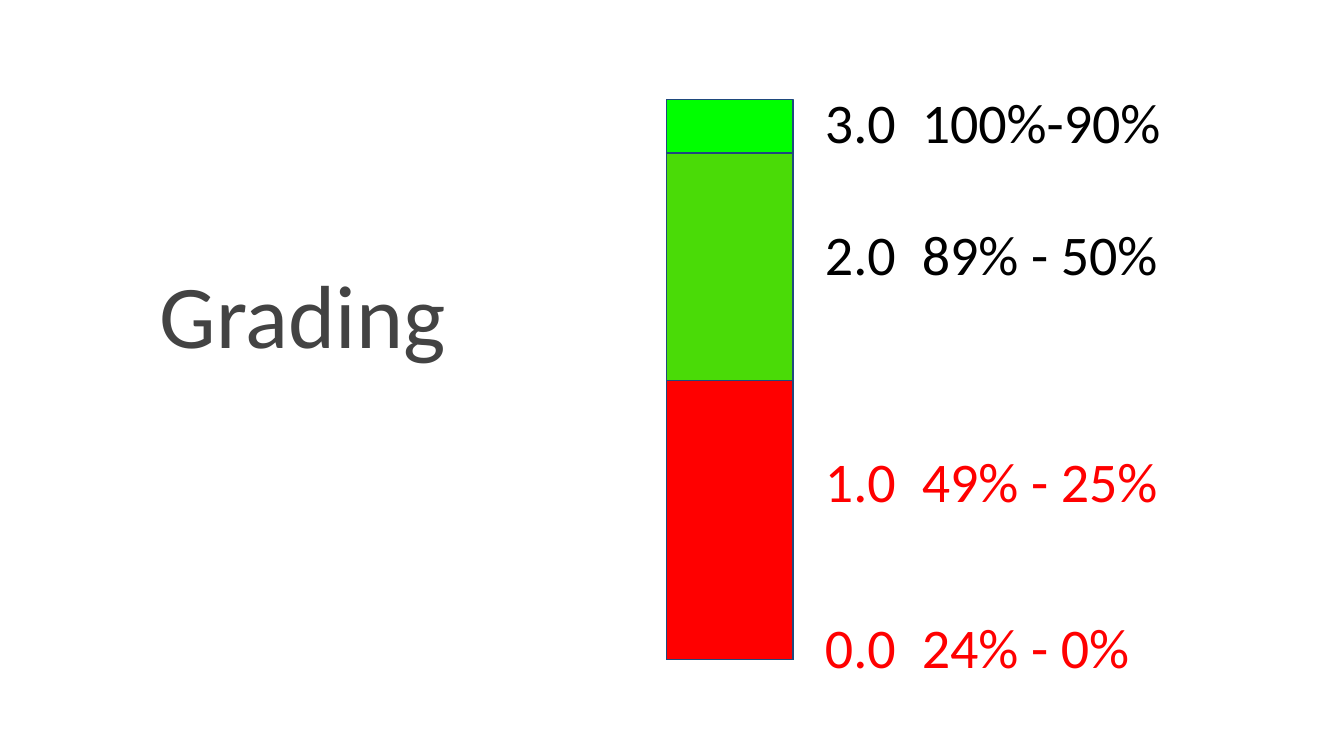
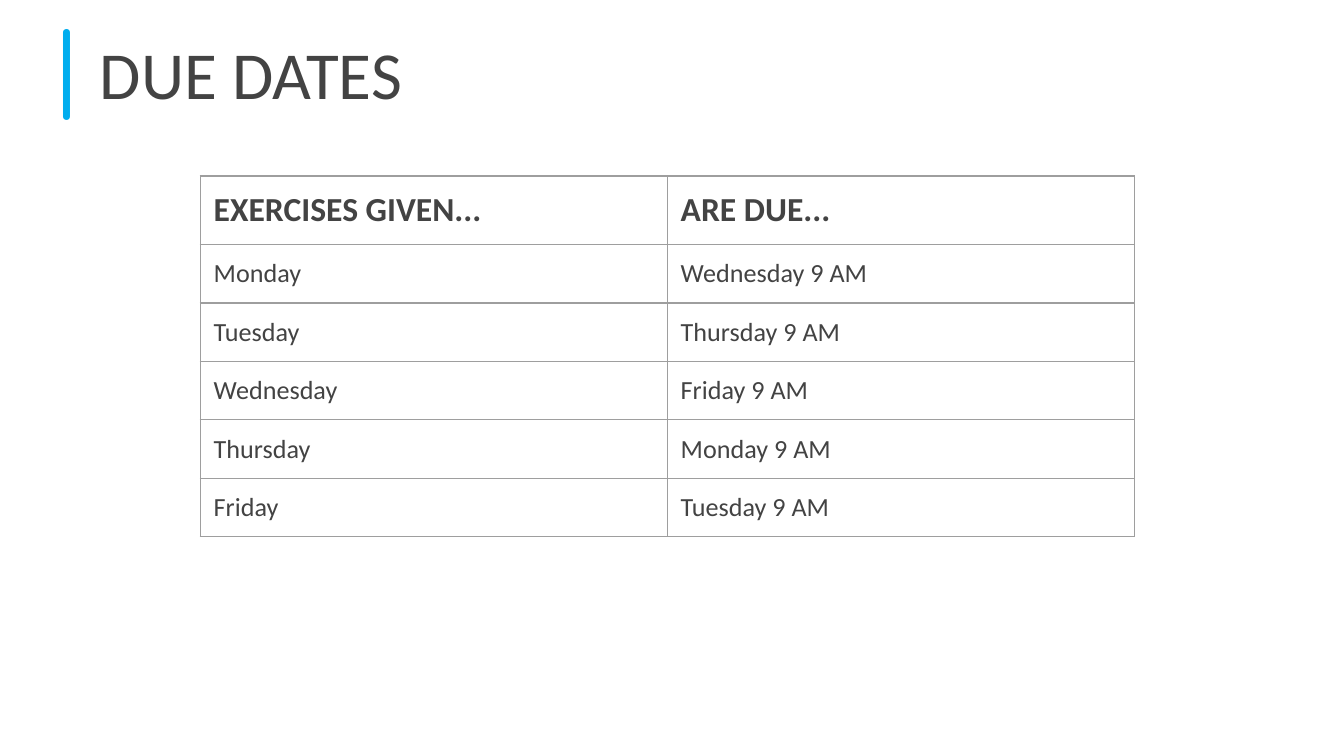
from typing import NamedTuple

from lxml.etree import SubElement
from pptx import Presentation
from pptx.dml.color import RGBColor
from pptx.enum.shapes import MSO_SHAPE
from pptx.enum.text import MSO_ANCHOR as Anchor
from pptx.oxml import parse_xml
from pptx.oxml.ns import nsdecls, qn
from pptx.util import Emu, Inches, Pt

COLORS = {
    "ink": "434343",
    "black": "000000",
    "accent": "00ADEE",
    "outline": "1F497D",
    "border": "9E9E9E",
    "top": "00FF00",
    "pass": "4ADB07",
    "fail": "FF0000",
}
BODY_FONT = "Calibri"
ACCENT_FONT = "Comfortaa"
INSET = Inches(0.1)
SLIDE_WIDTH = Inches(10)
SLIDE_HEIGHT = Emu(SLIDE_WIDTH * 9 // 16)
COLUMNS, ROWS = 100, 56.25

# Label, label color, label row, band color, band row; rows count from the scale's top.
GRADES = [
    ("3.0\t100%-90%", "black", -1.9, "top", 0),
    ("2.0\t89% - 50%", "black", 7.9, "pass", 4),
    ("1.0\t49% - 25%", "fail", 24.8, "fail", 20.9),
    ("0.0\t24% - 0%", "fail", 37.2, None, None),
]
DUE_DATES = [
    ("EXERCISES GIVEN...", "ARE DUE..."),
    ("Monday", "Wednesday 9 AM"),
    ("Tuesday", "Thursday 9 AM"),
    ("Wednesday", "Friday 9 AM"),
    ("Thursday", "Monday 9 AM"),
    ("Friday", "Tuesday 9 AM"),
]


class Box(NamedTuple):
    """An area in grid columns and rows."""
    left: float
    top: float
    width: float
    height: float

    def lengths(self):
        column, row = SLIDE_WIDTH / COLUMNS, SLIDE_HEIGHT / ROWS
        return [Emu(round(value * unit))
                for value, unit in zip(self, (column, row, column, row))]


def rgb(name):
    return RGBColor.from_string(COLORS[name])


def write(paragraph, text, size=14, color="ink", font=BODY_FONT, bold=False):
    run = paragraph.add_run()
    run.text = text
    run.font.size = Pt(size)
    run.font.name = font
    run.font.bold = bold
    run.font.color.rgb = rgb(color)


def set_margins(holder):
    """Give a text frame or table cell the shared inset."""
    holder.margin_left = holder.margin_right = INSET
    holder.margin_top = holder.margin_bottom = INSET


def add_paragraph_box(slide, box, anchor=Anchor.TOP):
    """Add a text box and return its paragraph."""
    frame = slide.shapes.add_textbox(*box.lengths()).text_frame
    frame.word_wrap = True
    frame.vertical_anchor = anchor
    set_margins(frame)
    return frame.paragraphs[0]


def add_band(slide, box, color):
    band = slide.shapes.add_shape(MSO_SHAPE.RECTANGLE, *box.lengths())
    band.shadow.inherit = False
    band.fill.solid()
    band.fill.fore_color.rgb = rgb(color)
    band.line.color.rgb = rgb("outline")
    band.line.width = Pt(0.75)


def add_tab_stop(paragraph, position):
    tabs = SubElement(paragraph._p.get_or_add_pPr(), qn("a:tabLst"))
    SubElement(tabs, qn("a:tab"), pos=str(position), algn="l")


def add_grade_scale(slide, box, bar_width):
    """Stack the bands, each reaching the bottom, with the labels to their right."""
    for _, _, _, color, row in GRADES:
        if color:
            add_band(slide, Box(box.left, box.top + row, bar_width, box.height - row), color)
    label_left = box.left + bar_width + 1.4
    label_width = box.left + box.width - label_left
    for text, color, row, _, _ in GRADES:
        paragraph = add_paragraph_box(slide, Box(label_left, box.top + row, label_width, 6.1))
        add_tab_stop(paragraph, Inches(0.72))
        write(paragraph, text, size=30, color=color)


def add_marked_title(slide, box, text):
    paragraph = add_paragraph_box(slide, box, anchor=Anchor.MIDDLE)
    write(paragraph, "|", size=48, color="accent", font=ACCENT_FONT)
    write(paragraph, " " + text, size=36)


def set_borders(cell):
    properties = cell._tc.get_or_add_tcPr()
    for index, side in enumerate(("lnL", "lnR", "lnT", "lnB")):
        properties.insert(index, parse_xml(
            f'<a:{side} {nsdecls("a")} w="{Pt(0.75)}"><a:solidFill>'
            f'<a:srgbClr val="{COLORS["border"]}"/></a:solidFill></a:{side}>'))


def add_schedule(slide, box, records, header_share=0.19):
    left, top, width, height = box.lengths()
    table = slide.shapes.add_table(
        len(records), len(records[0]), left, top, width, height).table
    table.first_row = table.horz_banding = False
    header_height = round(height * header_share)
    body_height = (height - header_height) // (len(records) - 1)
    for index, record in enumerate(records):
        is_header = index == 0
        table.rows[index].height = Emu(header_height if is_header else body_height)
        for cell, text in zip(table.rows[index].cells, record):
            set_margins(cell)
            cell.fill.background()
            set_borders(cell)
            write(cell.text_frame.paragraphs[0], text,
                  size=18 if is_header else 14, bold=is_header)


def build_grading(slide):
    write(add_paragraph_box(slide, Box(10.9, 18.3, 33.8, 14.4)), "Grading", size=48)
    add_grade_scale(slide, Box(49.6, 7.4, 45.8, 41.7), bar_width=9.4)


def build_due_dates(slide):
    add_marked_title(slide, Box(2.7, 0.7, 93.9, 8.1), "DUE DATES")
    add_schedule(slide, Box(14.9, 13.1, 69.5, 26.85), DUE_DATES)


def main():
    presentation = Presentation()
    presentation.slide_width, presentation.slide_height = SLIDE_WIDTH, SLIDE_HEIGHT
    blank = presentation.slide_layouts[6]
    for build in (build_grading, build_due_dates):
        build(presentation.slides.add_slide(blank))
    presentation.save("out.pptx")


if __name__ == "__main__":
    main()
